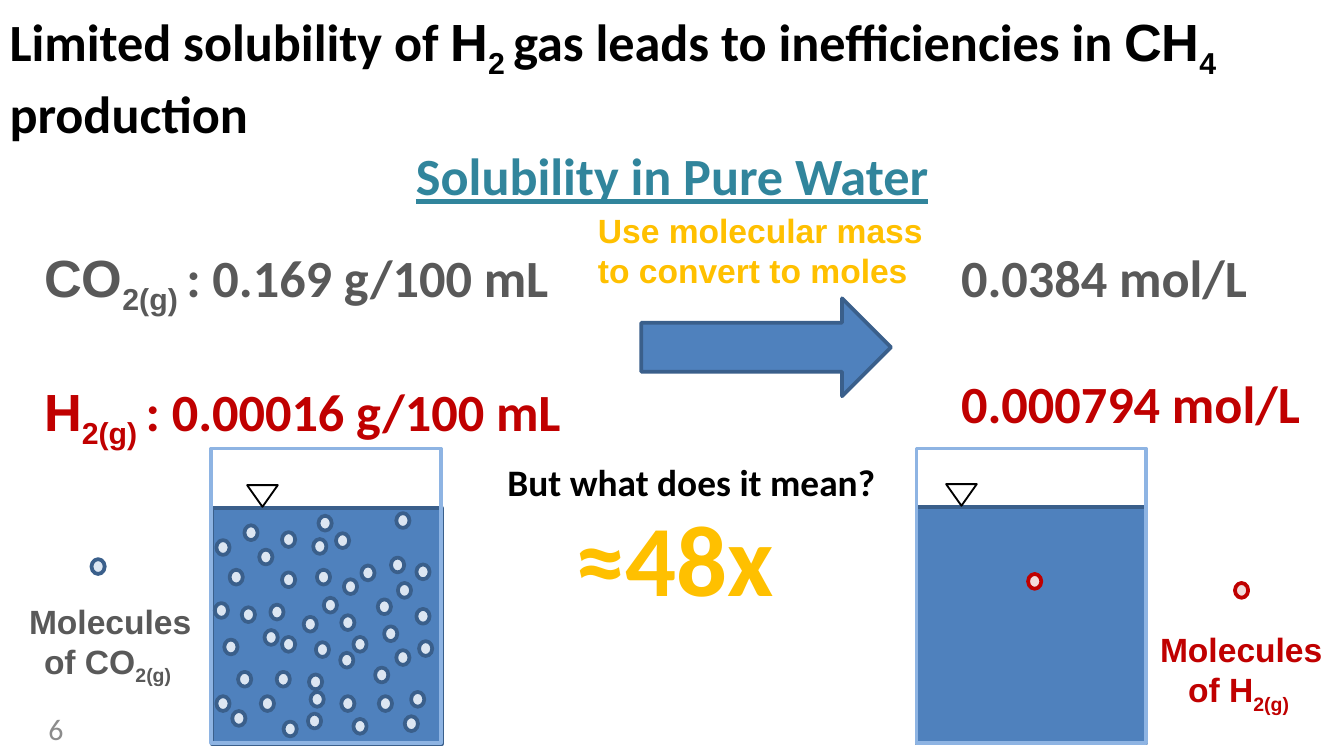
from dataclasses import dataclass

from lxml import etree
from pptx import Presentation
from pptx.dml.color import RGBColor
from pptx.enum.shapes import MSO_SHAPE
from pptx.enum.text import MSO_ANCHOR, MSO_AUTO_SIZE, PP_ALIGN
from pptx.oxml.ns import qn
from pptx.util import Cm, Pt

RECTANGLE, OVAL = MSO_SHAPE.RECTANGLE, MSO_SHAPE.OVAL
TRIANGLE, RIGHT_ARROW = MSO_SHAPE.ISOSCELES_TRIANGLE, MSO_SHAPE.RIGHT_ARROW
LEFT, CENTER, RIGHT = PP_ALIGN.LEFT, PP_ALIGN.CENTER, PP_ALIGN.RIGHT
TWO_CONTENT = 3


@dataclass(frozen=True)
class Theme:
    sans: str = "Calibri"
    formula: str = "Arial"
    black: str = "000000"
    teal: str = "31859C"
    gold: str = "FFC000"
    grey: str = "595959"
    red: str = "C00000"
    number: str = "8C8C8C"
    water: str = "4F81BD"
    outline: str = "3A5F8B"
    glass: str = "8EB4E3"
    pale_blue: str = "DCE6F2"
    pale_red: str = "F2DCDB"
    heading_pt: int = 28
    question_pt: int = 20
    label_pt: int = 18
    number_pt: int = 16
    ratio_pt: int = 54


THEME = Theme()


@dataclass(frozen=True)
class Box:
    """Left, top, width and height in centimetres."""
    left: float
    top: float
    width: float
    height: float

    def lengths(self) -> tuple:
        return Cm(self.left), Cm(self.top), Cm(self.width), Cm(self.height)


@dataclass(frozen=True)
class Span:
    text: str
    font: str = THEME.sans
    subscript: bool = False


@dataclass(frozen=True)
class Line:
    spans: tuple
    color: str
    size: int = THEME.heading_pt
    bold: bool = True
    underline: bool = False
    align: PP_ALIGN = LEFT
    space_before: int = 0


def formula(base: str, index: str) -> tuple:
    return Span(base, THEME.formula), Span(index, THEME.formula, True)


def write(frame, lines: list) -> None:
    frame.word_wrap = True
    frame.auto_size = MSO_AUTO_SIZE.NONE
    frame.vertical_anchor = MSO_ANCHOR.TOP
    for index, line in enumerate(lines):
        paragraph = frame.add_paragraph() if index else frame.paragraphs[0]
        paragraph.alignment = line.align
        paragraph.space_before = Pt(line.space_before)
        properties = paragraph._p.get_or_add_pPr()
        properties.set("marL", "0")
        properties.set("indent", "0")
        etree.SubElement(properties, qn("a:buNone"))
        font = paragraph.font
        font.size, font.bold, font.underline = Pt(line.size), line.bold, line.underline
        font.color.rgb = RGBColor.from_string(line.color)
        faces = {span.font for span in line.spans}
        if len(faces) == 1:
            font.name = faces.pop()
        for span in line.spans:
            run = paragraph.add_run()
            run.text = span.text
            if font.name is None:
                run.font.name = span.font
            if span.subscript:
                run._r.get_or_add_rPr().set("baseline", "-25000")


def fill_placeholder(holder, box: Box, lines: list) -> None:
    holder.left, holder.top, holder.width, holder.height = box.lengths()
    write(holder.text_frame, lines)


def add_text(slide, box: Box, line: Line) -> None:
    write(slide.shapes.add_textbox(*box.lengths()).text_frame, [line])


def add_figure(slide, kind, box: Box, fill: str | None, outline: str,
               weight: float = 2, rotation: float = 0) -> None:
    shape = slide.shapes.add_shape(kind, *box.lengths())
    shape.shadow.inherit = False
    shape.rotation = rotation
    if fill:
        shape.fill.solid()
        shape.fill.fore_color.rgb = RGBColor.from_string(fill)
    else:
        shape.fill.background()
    shape.line.color.rgb = RGBColor.from_string(outline)
    shape.line.width = Pt(weight)


def add_molecule(slide, left: float, top: float, fill: str, outline: str) -> None:
    add_figure(slide, OVAL, Box(left, top, 0.25, 0.28), fill, outline)


def add_tank(slide, glass_left: float, water_left: float, water_top: float,
             marker_left: float) -> None:
    """Water, the glass around it and the water-level marker."""
    add_figure(slide, RECTANGLE, Box(water_left, water_top, 4.34, 4.47),
               THEME.water, THEME.outline)
    add_figure(slide, RECTANGLE, Box(glass_left, 8.48, 4.34, 5.56), None, THEME.glass)
    add_figure(slide, TRIANGLE, Box(marker_left, water_top - 0.43, 0.58, 0.41),
               None, THEME.black, 1, 180)


CO2_MOLECULES = [
    (4.34, 10.77), (6.12, 11.3), (5.33, 12.04), (5.99, 10.77), (5.33, 10.06),
    (5.33, 10.82), (7.14, 11.33), (4.57, 11.48), (5.74, 11.66), (6.43, 12.34),
    (6.35, 10.08), (6.02, 9.75), (7.49, 12.29), (6.68, 12.04), (7.87, 11.51),
    (7.39, 10.54), (6.83, 10.69), (5, 11.91), (4.09, 13.16), (6.5, 10.95),
    (5.11, 11.43), (7.49, 9.7), (4.09, 10.21), (5.23, 12.7), (7.09, 12.62),
    (5.87, 13.08), (4.39, 13.44), (6.45, 13.16), (7.52, 11.02), (5.97, 12.14),
    (7.16, 13.16), (5.36, 13.64), (5.92, 10.19), (5.84, 12.75), (6.45, 11.63),
    (6.68, 13.59), (7.26, 11.84), (4.9, 10.39), (4.24, 12.09), (4.93, 13.16),
    (7.92, 12.12), (7.77, 13.08), (5.82, 13.49), (4.5, 12.7), (7.87, 10.67),
    (4.62, 9.93), (7.65, 13.54), (4.06, 11.4),
]
CO2_KEY = (1.73, 10.57)
H2_MOLECULES = [(19.43, 10.85), (23.34, 11.02)]
ROW_GAP = 34


def main() -> None:
    deck = Presentation()
    deck.slide_width, deck.slide_height = Cm(25.4), Cm(14.29)
    slide = deck.slides.add_slide(deck.slide_layouts[TWO_CONTENT])
    title, by_mass, by_moles = slide.placeholders

    frame = title.text_frame
    frame.margin_left = frame.margin_top = frame.margin_right = frame.margin_bottom = 0
    fill_placeholder(title, Box(0.18, 0.18, 25.04, 2.54), [Line(
        (Span("Limited solubility of "), *formula("H", "2 "),
         Span("gas leads to inefficiencies in "), *formula("CH", "4 "),
         Span("production")), THEME.black)])
    fill_placeholder(by_mass, Box(0.58, 4.5, 11.13, 3.2), [
        Line((*formula("CO", "2(g) "), Span(": 0.169 g/100 mL")), THEME.grey),
        Line((*formula("H", "2(g) "), Span(": 0.00016 g/100 mL")), THEME.red,
             space_before=ROW_GAP)])
    fill_placeholder(by_moles, Box(17.91, 4.5, 11.13, 3.2), [
        Line((Span("0.0384 mol/L"),), THEME.grey),
        Line((Span("0.000794 mol/L"),), THEME.red, space_before=ROW_GAP)])

    add_text(slide, Box(0, 2.59, 25.4, 1.12), Line(
        (Span("Solubility in Pure Water"),), THEME.teal, underline=True, align=CENTER))
    add_text(slide, Box(11.05, 3.84, 6.81, 1.07), Line(
        (Span("Use molecular mass to convert to moles", THEME.formula),),
        THEME.gold, THEME.label_pt))
    add_figure(slide, RIGHT_ARROW, Box(12.12, 5.64, 4.72, 1.85),
               THEME.water, THEME.outline)
    add_text(slide, Box(8.84, 8.56, 8.46, 0.91), Line(
        (Span("But what does it mean?"),), THEME.black, THEME.question_pt, align=CENTER))
    add_text(slide, Box(8.84, 9.25, 7.82, 2.41), Line(
        (Span("≈48x"),), THEME.gold, THEME.ratio_pt, align=CENTER))

    add_tank(slide, 3.99, 4.01, 9.6, 4.67)
    add_tank(slide, 17.32, 17.32, 9.58, 17.88)
    for left, top in [*CO2_MOLECULES, CO2_KEY]:
        add_molecule(slide, left, top, THEME.pale_blue, THEME.outline)
    for left, top in H2_MOLECULES:
        add_molecule(slide, left, top, THEME.pale_red, THEME.red)

    for gas, color, box in [("CO", THEME.grey, Box(0.18, 11.23, 3.81, 2.97)),
                            ("H", THEME.red, Box(21.54, 11.76, 3.84, 2.97))]:
        add_text(slide, box, Line(
            (Span("Molecules of ", THEME.formula), *formula(gas, "2(g) ")),
            color, THEME.label_pt, align=CENTER))
    add_text(slide, Box(0.18, 13.31, 1.27, 0.94), Line(
        (Span("6"),), THEME.number, THEME.number_pt, bold=False, align=RIGHT))

    deck.save("out.pptx")


if __name__ == "__main__":
    main()
